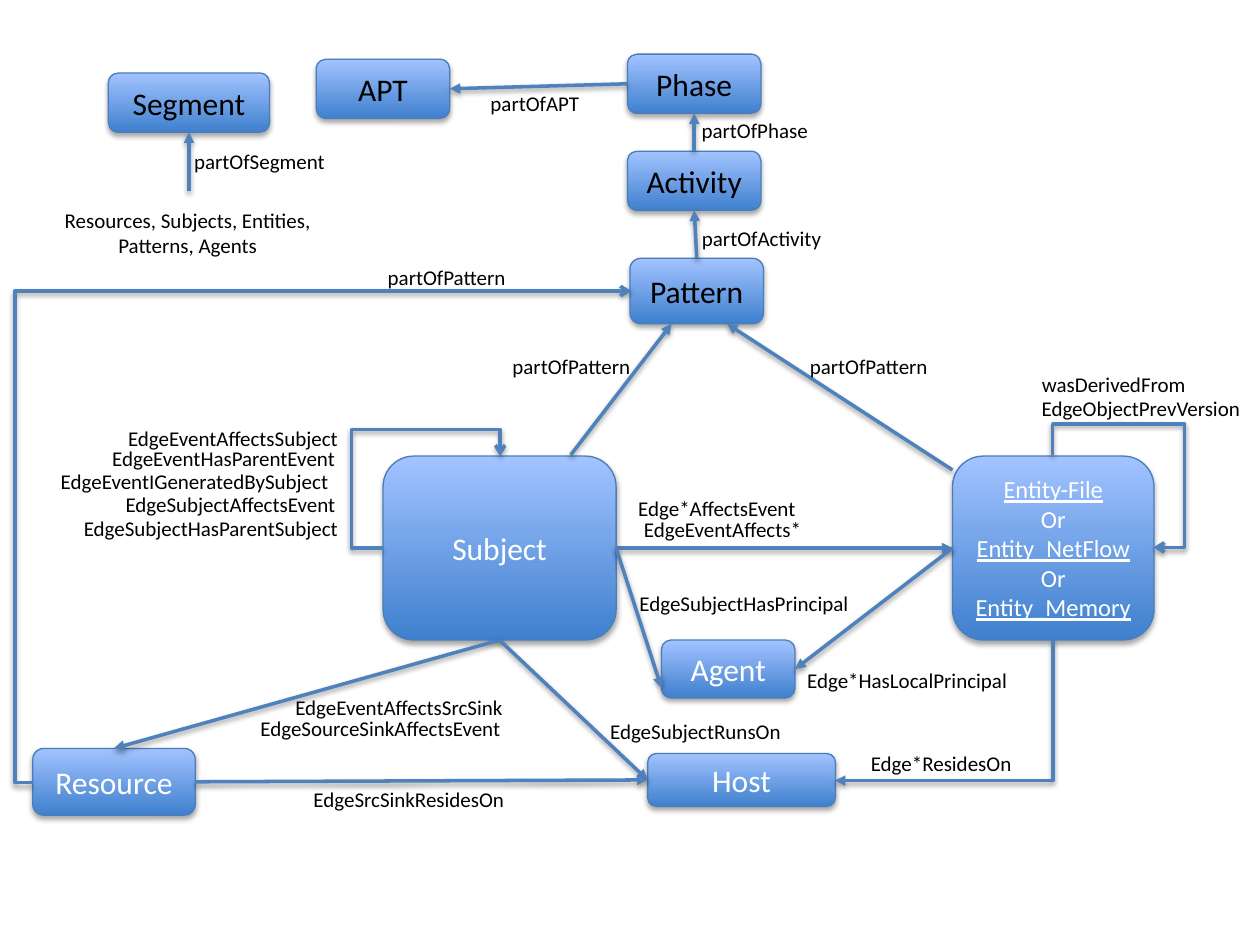
from dataclasses import dataclass

from lxml import etree
from pptx import Presentation
from pptx.dml.color import RGBColor
from pptx.enum.shapes import MSO_CONNECTOR, MSO_SHAPE
from pptx.enum.text import MSO_ANCHOR, MSO_AUTO_SIZE, PP_ALIGN
from pptx.oxml.ns import qn
from pptx.util import Inches, Pt

STRAIGHT, ELBOW = MSO_CONNECTOR.STRAIGHT, MSO_CONNECTOR.ELBOW
ROUNDED = MSO_SHAPE.ROUNDED_RECTANGLE
CENTER, RIGHT_ALIGN = PP_ALIGN.CENTER, PP_ALIGN.RIGHT
MIDDLE = MSO_ANCHOR.MIDDLE
GROW = MSO_AUTO_SIZE.SHAPE_TO_FIT_TEXT
TOP, LEFT, BOTTOM, RIGHT = range(4)


@dataclass(frozen=True)
class Theme:
    font: str = "Calibri"
    dark: str = "000000"
    light: str = "FFFFFF"
    fill_bottom: str = "3F80CE"
    fill_top: str = "A2C3FF"
    outline: str = "4A7EBB"
    arrow: str = "4F81BD"
    node_size: int = 18
    entity_size: int = 14
    label_size: int = 12
    inset: float = 0.05


def rgb(color):
    return RGBColor.from_string(color)


def is_point(end):
    return isinstance(end[0], (int, float))


class Diagram:
    def __init__(self, slide, theme):
        self.shapes = slide.shapes
        self.theme = theme

    def shadow(self, s, dist, opacity):
        spPr = s._element.spPr
        effects = spPr.find(qn("a:effectLst"))
        if effects is None:
            effects = etree.SubElement(spPr, qn("a:effectLst"))
        outer = etree.SubElement(effects, qn("a:outerShdw"), blurRad=str(Pt(3)),
                                 dist=str(Pt(dist)), dir="5400000", rotWithShape="0")
        clr = etree.SubElement(outer, qn("a:srgbClr"), val=self.theme.dark)
        etree.SubElement(clr, qn("a:alpha"), val=str(opacity * 1000))

    def add_text(self, tf, lines, size, color, align=CENTER, underlined=()):
        inset = Inches(self.theme.inset)
        tf.margin_left = tf.margin_right = tf.margin_top = tf.margin_bottom = inset
        for i, line in enumerate(lines):
            p = tf.paragraphs[0] if i == 0 else tf.add_paragraph()
            p.alignment = align
            r = p.add_run()
            r.text = line
            r.font.name, r.font.size = self.theme.font, Pt(size)
            r.font.color.rgb = rgb(color)
            if line in underlined:
                r.font.underline = True

    def node(self, lines, at, color, size=None, underlined=()):
        s = self.shapes.add_shape(ROUNDED, *map(Inches, at))
        s.fill.gradient()
        s.fill.gradient_angle = 90
        shades = (self.theme.fill_bottom, self.theme.fill_top)
        for stop, position, shade in zip(s.fill.gradient_stops, (0, 1), shades):
            stop.position = position
            stop.color.rgb = rgb(shade)
        s.line.color.rgb = rgb(self.theme.outline)
        s.line.width = Pt(0.75)
        s.shadow.inherit = False
        self.shadow(s, 1.8, 35)
        tf = s.text_frame
        tf.word_wrap = True
        tf.vertical_anchor = MIDDLE
        self.add_text(tf, lines, size or self.theme.node_size, color, underlined=underlined)
        return s

    def label(self, text, left, top, width, height=0.29, wrap=False, align=CENTER):
        s = self.shapes.add_textbox(*map(Inches, (left, top, width, height)))
        tf = s.text_frame
        tf.word_wrap = wrap
        tf.auto_size = GROW
        self.add_text(tf, [text], self.theme.label_size, self.theme.dark, align)

    def finish_arrow(self, c, head):
        c.line.color.rgb = rgb(self.theme.arrow)
        c.line.width = Pt(2)
        ln = c._element.spPr.find(qn("a:ln"))
        etree.SubElement(ln, qn("a:tailEnd"), type=head)
        self.shadow(c, 1.6, 38)

    def arrow(self, start, end):
        """Each end is a point (x, y) or a joint (node, side)."""
        points = [e if is_point(e) else (0, 0) for e in (start, end)]
        c = self.shapes.add_connector(STRAIGHT, *(Inches(v) for pt in points for v in pt))
        for e, join in ((start, c.begin_connect), (end, c.end_connect)):
            if not is_point(e):
                join(*e)
        self.finish_arrow(c, "triangle")

    def elbow(self, start, end, preset, frame, rotation, flip=False, bends=(), head="arrow"):
        c = self.shapes.add_connector(ELBOW, 0, 0, 0, 0)
        c.begin_connect(*start)
        c.end_connect(*end)
        # The frame is given before rotation
        c.left, c.top, c.width, c.height = map(Inches, frame)
        spPr = c._element.spPr
        xfrm = spPr.find(qn("a:xfrm"))
        xfrm.set("rot", str(rotation * 60000))
        xfrm.set("flipH", str(int(flip)))
        xfrm.set("flipV", "0")
        geom = spPr.find(qn("a:prstGeom"))
        geom.set("prst", preset)
        guides = geom.find(qn("a:avLst"))
        if guides is None:
            guides = etree.SubElement(geom, qn("a:avLst"))
        for i, bend in enumerate(bends, 1):
            etree.SubElement(guides, qn("a:gd"), name=f"adj{i}", fmla=f"val {round(bend * 100000)}")
        self.finish_arrow(c, head)


def main():
    prs = Presentation()
    prs.slide_width, prs.slide_height = Inches(10), Inches(7.5)
    theme = Theme()
    d = Diagram(prs.slides.add_slide(prs.slide_layouts[6]), theme)

    # Nodes
    subject, agent, resource, host = [
        d.node([name], at, theme.light) for name, at in (
            ("Subject", (3.04, 3.62, 1.85, 1.46)),
            ("Agent", (5.25, 5.08, 1.06, 0.46)),
            ("Resource", (0.26, 5.94, 1.29, 0.53)),
            ("Host", (5.14, 5.98, 1.49, 0.42)))]
    pattern, activity, apt, phase, segment = [
        d.node([name], at, theme.dark) for name, at in (
            ("Pattern", (5, 2.05, 1.06, 0.52)),
            ("Activity", (4.98, 1.2, 1.06, 0.47)),
            ("APT", (2.51, 0.47, 1.06, 0.47)),
            ("Phase", (4.98, 0.43, 1.06, 0.47)),
            ("Segment", (0.86, 0.58, 1.28, 0.47)))]
    kinds = ["Entity-File", "Entity_NetFlow", "Entity_Memory"]
    entity = d.node([kinds[0], "Or", kinds[1], "Or", kinds[2]], (7.56, 3.62, 1.6, 1.46),
                    theme.light, theme.entity_size, kinds)

    # Straight arrows
    for start, end in (
            ((subject, BOTTOM), (resource, TOP)),
            ((subject, BOTTOM), (host, LEFT)),
            ((subject, RIGHT), (entity, LEFT)),
            ((subject, RIGHT), (5.25, 5.46)),
            ((resource, RIGHT), (host, LEFT)),
            ((entity, LEFT), (agent, RIGHT)),
            ((pattern, TOP), (activity, BOTTOM)),
            ((activity, TOP), (phase, BOTTOM)),
            ((phase, LEFT), (apt, RIGHT)),
            ((1.5, 1.52), (segment, BOTTOM)),
            ((4.53, 3.61), (5.33, 2.57)),
            ((7.56, 3.73), (5.77, 2.57))):
        d.arrow(start, end)

    # Elbow arrows
    d.elbow((entity, BOTTOM), (host, RIGHT), "bentConnector2",
            (6.93, 4.77, 1.12, 1.73), 90, head="triangle")
    d.elbow((subject, LEFT), (subject, TOP), "bentConnector4",
            (3.04, 3.62, 0.93, 0.73), 180, True, (-0.27, 1.29))
    d.elbow((resource, LEFT), (pattern, LEFT), "bentConnector3",
            (0.26, 2.31, 4.75, 3.9), 180, True, (-0.03,))
    d.elbow((entity, TOP), (entity, RIGHT), "bentConnector4",
            (8.39, 3.58, 0.73, 0.8), 270, True, (-0.34, 1.31))

    # Edge labels
    for text, left, top, width in (
            ("partOfAPT", 3.8, 0.67, 0.89),
            ("partOfPhase", 5.48, 0.88, 1.02),
            ("partOfSegment", 1.44, 1.13, 1.24),
            ("partOfActivity", 5.46, 1.74, 1.17),
            ("partOfPattern", 2.97, 2.05, 1.15),
            ("partOfPattern", 3.96, 2.76, 1.15),
            ("partOfPattern", 6.32, 2.76, 1.15),
            ("wasDerivedFrom", 8.21, 2.9, 1.26),
            ("EdgeObjectPrevVersion", 8.2, 3.09, 1.71),
            ("EdgeEventAffectsSubject", 0.95, 3.33, 1.8),
            ("EdgeEventHasParentEvent", 0.82, 3.49, 1.91),
            ("EdgeEventIGeneratedBySubject", 0.38, 3.67, 2.33),
            ("EdgeSubjectAffectsEvent", 0.93, 3.85, 1.8),
            ("EdgeSubjectHasParentSubject", 0.6, 4.04, 2.15),
            ("Edge*AffectsEvent", 4.95, 3.88, 1.48),
            ("EdgeEventAffects*", 5, 4.05, 1.47),
            ("EdgeSubjectHasPrincipal", 4.98, 4.64, 1.85),
            ("Edge*HasLocalPrincipal", 6.28, 5.25, 1.84),
            ("EdgeSourceSinkAffectsEvent", 2, 5.63, 2.04),
            ("EdgeSubjectRunsOn", 4.73, 5.65, 1.58),
            ("Edge*ResidesOn", 6.83, 5.91, 1.28),
            ("EdgeSrcSinkResidesOn", 2.37, 6.19, 1.75)):
        d.label(text, left, top, width)
    d.label("EdgeEventAffectsSrcSink", 2.02, 5.46, 2.02, wrap=True, align=RIGHT_ALIGN)
    d.label("Resources, Subjects, Entities, Patterns, Agents", 0.43, 1.6, 2.12, 0.49, wrap=True)

    prs.save("out.pptx")


if __name__ == "__main__":
    main()
